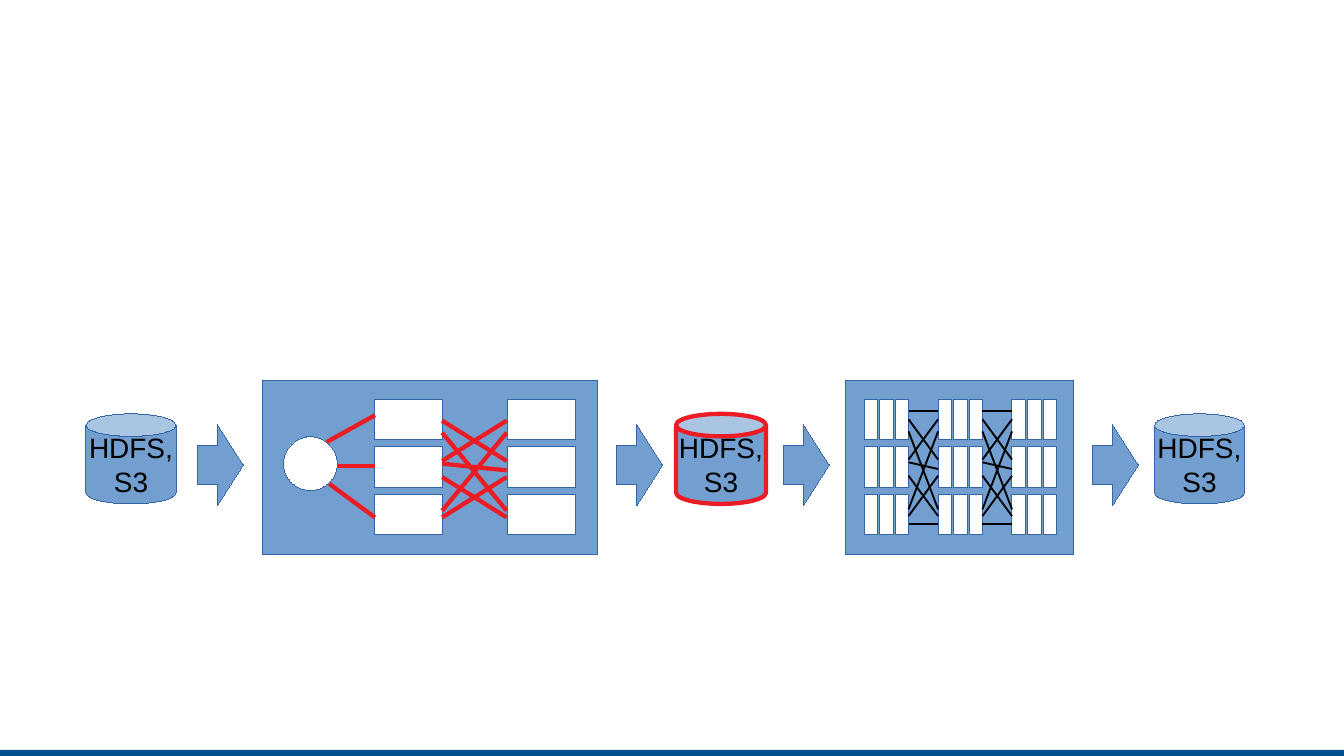
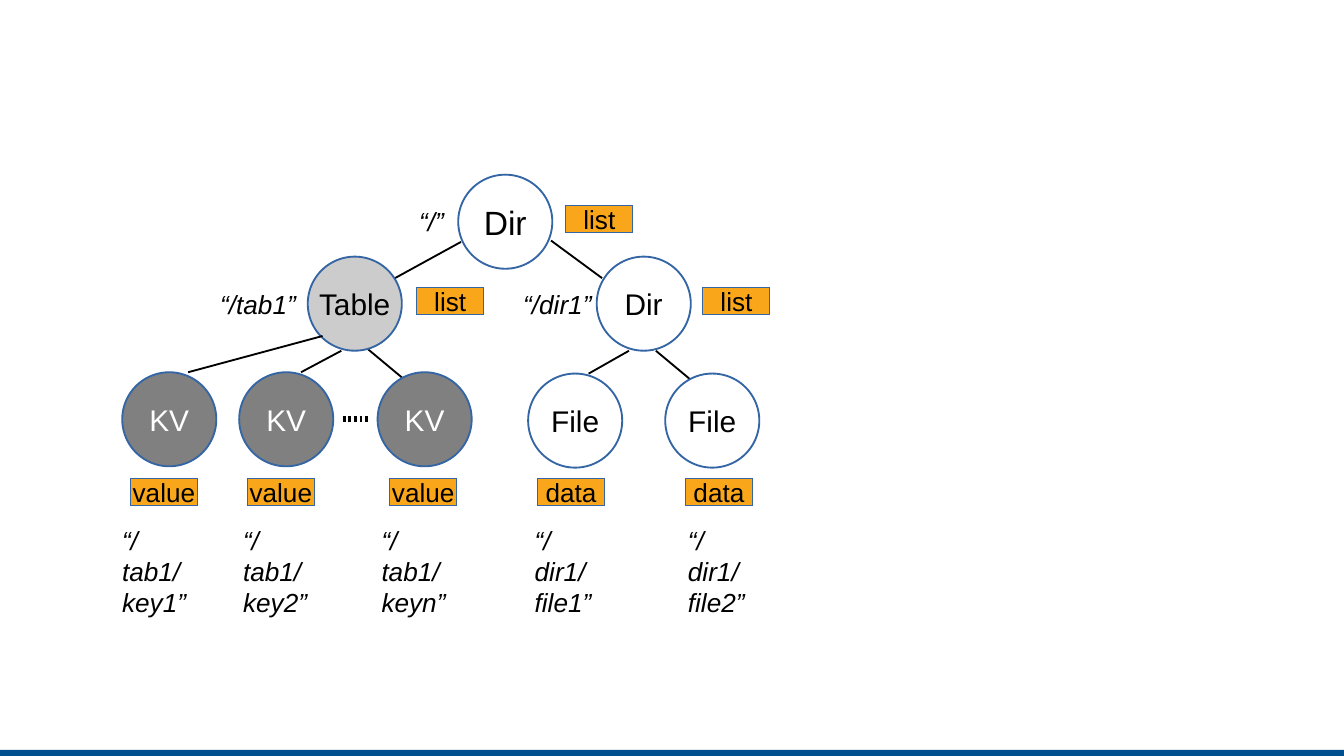
from lxml import etree
from pptx import Presentation
from pptx.dml.color import RGBColor
from pptx.enum.shapes import MSO_CONNECTOR as LINK, MSO_SHAPE as KIND
from pptx.enum.text import MSO_ANCHOR as ANCHOR, MSO_AUTO_SIZE as FIT, PP_ALIGN as ALIGN
from pptx.oxml.ns import qn
from pptx.util import Inches, Pt

FONT = "Arial"
BLACK, WHITE = "000000", "FFFFFF"
BLUE, EDGE, RED = "729FCF", "3465A4", "ED1C24"
ORANGE, GREY, PALE, NAVY = "FAA61A", "808080", "CCCCCC", "00508F"
LEVELS = [(3.06, 3.06), (3.12, 3.42), (3.21, 3.79), (3.42, 3.12), (3.49, 3.44),
          (3.54, 3.84), (3.79, 3.21), (3.84, 3.54), (3.9, 3.9)]


def color(code):
    return RGBColor.from_string(code)


def write(shape, text, size=14, ink=BLACK, italic=False, align=ALIGN.CENTER,
          anchor=ANCHOR.MIDDLE, wrap=False):
    frame = shape.text_frame
    frame.word_wrap = wrap
    frame.vertical_anchor = anchor
    frame.text = text
    for para in frame.paragraphs:
        para.alignment = align
        font = para.font
        font.name, font.size, font.italic = FONT, Pt(size), italic
        font.color.rgb = color(ink)


def draw(slide, kind, x, y, w, h, fill=BLUE, edge=EDGE, width=0, adjust=()):
    shape = slide.shapes.add_shape(kind, Inches(x), Inches(y), Inches(w), Inches(h))
    shape.shadow.inherit = False
    shape.fill.solid()
    shape.fill.fore_color.rgb = color(fill)
    if edge:
        shape.line.color.rgb = color(edge)
        shape.line._get_or_add_ln().set("w", str(Pt(width)))
    else:
        shape.line.fill.background()
    for i, value in enumerate(adjust):
        shape.adjustments[i] = value
    return shape


def join(slide, x1, y1, x2, y2, ink=BLACK, width=1):
    line = slide.shapes.add_connector(
        LINK.STRAIGHT, Inches(x1), Inches(y1), Inches(x2), Inches(y2))
    line.line.color.rgb = color(ink)
    line.line.width = Pt(width)
    etree.SubElement(line._element.spPr, qn("a:effectLst"))
    return line


def dots(slide, x1, x2, y):
    line = join(slide, x1, y, x2, y, width=3)
    dash = etree.SubElement(line.line._get_or_add_ln(), qn("a:custDash"))
    etree.SubElement(dash, qn("a:ds"), d="50000", sp="50000")


def store(slide, x, **style):
    can = draw(slide, KIND.CAN, x, 3.08, 0.67, 0.67, adjust=[0.25], **style)
    write(can, "HDFS,\nS3", size=15)


def arrow(slide, x):
    draw(slide, KIND.RIGHT_ARROW, x, 3.16, 0.34, 0.6, adjust=[0.49, 0.562])


def stack(slide, x, w):
    for row in range(3):
        draw(slide, KIND.RECTANGLE, x, 2.97 + 0.355 * row, w, 0.3, fill=WHITE)


def shuffle(slide, left, right, levels, shift=0, **style):
    for end, start in levels:
        join(slide, right, end + shift, left, start + shift, **style)


def node(slide, x, y, text, size=16, fill=WHITE, ink=BLACK):
    disc = draw(slide, KIND.OVAL, x, y, 0.7, 0.7, fill=fill, width=1)
    write(disc, text, size=size, ink=ink)


def tag(slide, x, y, text):
    write(draw(slide, KIND.RECTANGLE, x, y, 0.5, 0.2, fill=ORANGE), text)


def label(slide, x, y, h, text, align, inset=0.1):
    box = slide.shapes.add_textbox(Inches(x), Inches(y), Inches(0.85), Inches(h))
    write(box, text, italic=True, align=align, anchor=ANCHOR.TOP, wrap=True)
    box.text_frame.margin_right = Inches(inset)
    box.text_frame.auto_size = FIT.SHAPE_TO_FIT_TEXT


def page(deck):
    slide = deck.slides.add_slide(deck.slide_layouts[6])
    draw(slide, KIND.RECTANGLE, 0, 5.58, 10, 0.05, fill=NAVY, edge=None)
    return slide


def flow(slide):
    for x in (1.47, 4.59, 5.83, 8.13):
        arrow(slide, x)
    store(slide, 0.64)
    store(slide, 5.03, edge=RED, width=2.3)
    store(slide, 8.59)

    draw(slide, KIND.RECTANGLE, 6.29, 2.83, 1.7, 1.3)
    for x in (6.43, 6.98, 7.53):
        for part in range(3):
            stack(slide, x + 0.117 * part, 0.1)
    for left, right in ((6.76, 6.98), (7.31, 7.53)):
        shuffle(slide, left, right, LEVELS)

    draw(slide, KIND.RECTANGLE, 1.95, 2.83, 2.5, 1.3)
    draw(slide, KIND.OVAL, 2.11, 3.25, 0.4, 0.4, fill=WHITE)
    for x in (2.79, 3.78):
        stack(slide, x, 0.5)
    shuffle(slide, 3.29, 3.77, LEVELS[1:-1], shift=0.01, ink=RED, width=2.3)
    for x, start, end in ((2.43, 3.29, 3.09), (2.51, 3.47, 3.47), (2.45, 3.6, 3.85)):
        join(slide, x, start, 2.79, end, ink=RED, width=2.3)


def tree(slide):
    for ends in ((3.43, 1.8, 2.92, 2.08), (2.54, 2.61, 2.24, 2.77),
                 (2.74, 2.6, 3.04, 2.85), (4.68, 2.61, 4.38, 2.78),
                 (4.88, 2.61, 5.18, 2.86)):
        join(slide, *ends)

    node(slide, 3.41, 1.3, "Dir", size=18)
    node(slide, 2.29, 1.91, "Table", fill=PALE)
    node(slide, 4.44, 1.91, "Dir")
    for x in (0.91, 1.78, 2.81):
        node(slide, x, 2.77, "KV", fill=GREY, ink=WHITE)
    for x in (3.93, 4.95):
        node(slide, x, 2.78, "File")

    join(slide, 4.1, 1.79, 4.48, 2.07)
    join(slide, 2.4, 2.5, 1.4, 2.77)
    dots(slide, 2.55, 2.75, 3.12)

    for x, y in ((4.21, 1.53), (3.1, 2.14), (5.23, 2.14)):
        tag(slide, x, y, "list")
    for x, text in ((0.97, "value"), (1.84, "value"), (2.9, "value"),
                    (4, "data"), (5.1, "data")):
        tag(slide, x, 3.56, text)

    for x, y, text in ((2.55, 1.48, "“/”"), (1.45, 2.1, "“/tab1”"),
                       (3.65, 2.1, "“/dir1”")):
        label(slide, x, y, 0.38, text, ALIGN.RIGHT)
    for x, text in ((0.81, "“/tab1/key1”"), (1.71, "“/tab1/key2”"),
                    (2.74, "“/tab1/keyn”"), (3.88, "“/dir1/file1”"),
                    (5.02, "“/dir1/file2”")):
        label(slide, x, 3.85, 0.75, text, ALIGN.LEFT, inset=0.22)


def main():
    deck = Presentation()
    deck.slide_width, deck.slide_height = Inches(10), Inches(10 * 9 / 16)
    flow(page(deck))
    tree(page(deck))
    deck.save("out.pptx")


if __name__ == "__main__":
    main()
